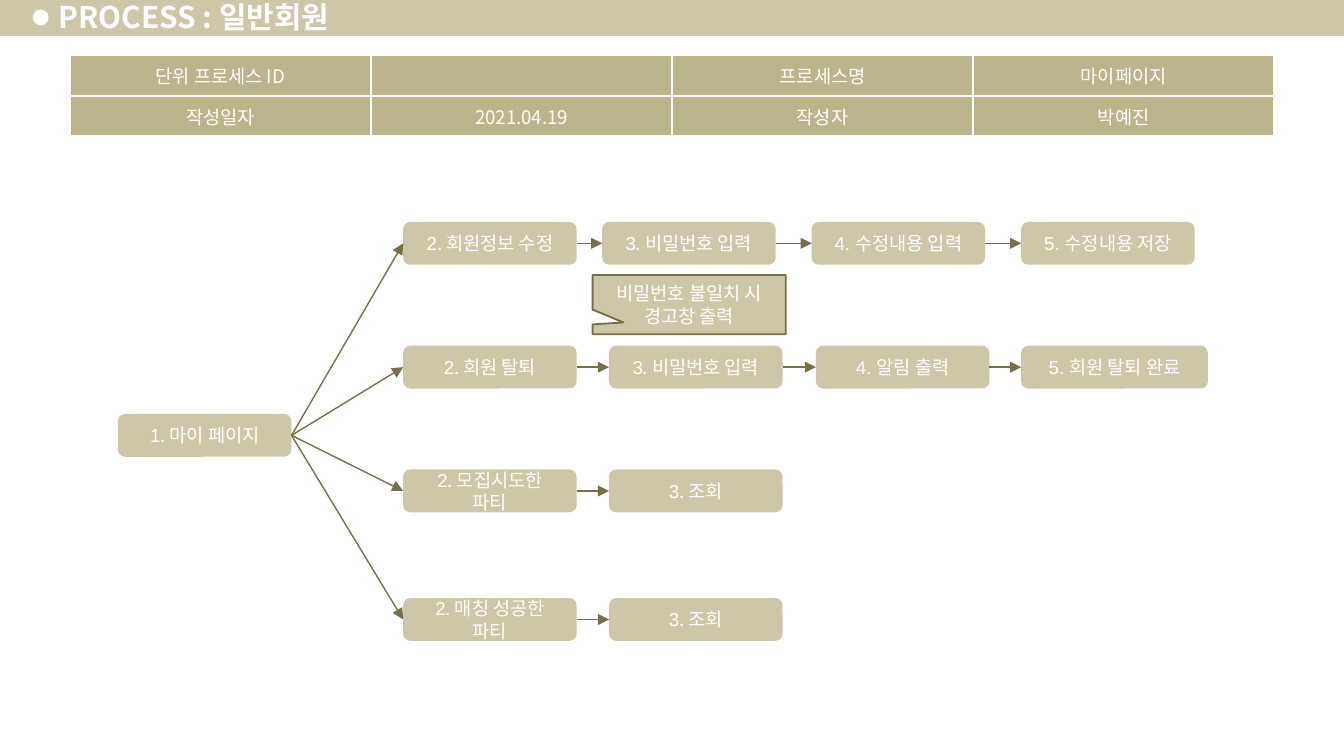
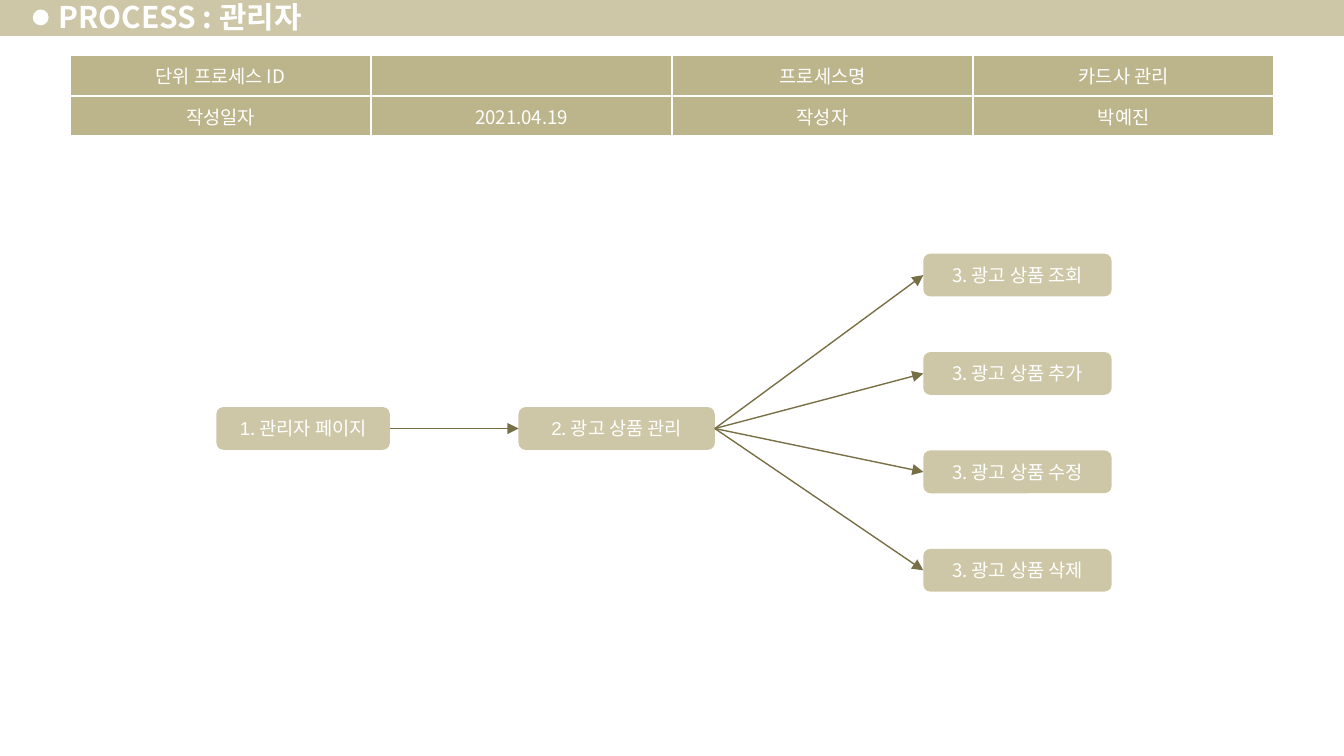
from dataclasses import dataclass

from pptx import Presentation
from pptx.dml.color import RGBColor
from pptx.enum.shapes import MSO_CONNECTOR, MSO_SHAPE
from pptx.enum.text import MSO_ANCHOR, MSO_AUTO_SIZE, PP_ALIGN
from pptx.oxml.xmlchemy import OxmlElement
from pptx.util import Cm, Pt


@dataclass(frozen=True)
class Theme:
    band: RGBColor = RGBColor(0xCD, 0xC7, 0xA7)
    cell: RGBColor = RGBColor(0xBC, 0xB4, 0x8A)
    line: RGBColor = RGBColor(0x77, 0x6F, 0x45)
    white: RGBColor = RGBColor(0xFF, 0xFF, 0xFF)
    font: str = "Noto Sans CJK KR"
    latin: str = "Arial"
    title_size: int = 16
    text_size: int = 10


THEME = Theme()
BOX_W, BOX_H = 3.28, 0.81
LEFT, RIGHT = 1, 3  # connection sites of a box


def add_child(parent, tag, **attrs):
    el = OxmlElement(tag)
    for name, value in attrs.items():
        el.set(name, str(value))
    parent.append(el)
    return el


# Text: a part before "|" is set in the Latin font
def write(tf, text, size=THEME.text_size, bold=False, align=PP_ALIGN.CENTER):
    tf.word_wrap = True
    p = tf.paragraphs[0]
    p.alignment = align
    latin_part, _, main_part = text.rpartition("|")
    for part, font in ((latin_part, THEME.latin), (main_part, THEME.font)):
        if part:
            r = p.add_run()
            r.text = part
            r.font.size = Pt(size)
            r.font.bold = bold
            r.font.color.rgb = THEME.white
            r.font.name = font
            add_child(r.font._element, "a:ea", typeface=THEME.font)
    if not text:
        add_child(p._p, "a:endParaRPr", sz=size * 100)


def add_figure(slide, kind, x, y, w, h, fill=THEME.band, text=None, line=None):
    sp = slide.shapes.add_shape(kind, Cm(x), Cm(y), Cm(w), Cm(h))
    sp.shadow.inherit = False
    sp.fill.solid()
    sp.fill.fore_color.rgb = fill
    if line is None:
        sp.line.fill.background()
    else:
        sp.line.color.rgb = line
        sp.line.width = Pt(1)
    if text:
        sp.text_frame.vertical_anchor = MSO_ANCHOR.MIDDLE
        write(sp.text_frame, text)
    return sp


def add_step(slide, text, x, mid_y, w=BOX_W):
    return add_figure(slide, MSO_SHAPE.ROUNDED_RECTANGLE, x, mid_y - BOX_H / 2, w, BOX_H, text=text)


def add_arrow(slide, start, end):
    cxn = slide.shapes.add_connector(MSO_CONNECTOR.STRAIGHT, 0, 0, 0, 0)
    cxn.begin_connect(start, RIGHT)
    cxn.end_connect(end, LEFT)
    cxn.line.color.rgb = THEME.line
    cxn.line.width = Pt(0.75)
    add_child(cxn.line._get_or_add_ln(), "a:tailEnd", type="triangle")
    add_child(cxn._element.spPr, "a:effectLst")


def add_chain(slide, start, steps, mid_y):
    """Draw a row of (text, x, width) steps, each reached from the one before."""
    for text, x, w in steps:
        step = add_step(slide, text, x, mid_y, w)
        add_arrow(slide, start, step)
        start = step


def add_info_table(slide, rows):
    table = slide.shapes.add_table(len(rows), len(rows[0]), Cm(1.32), Cm(1.05), Cm(22.76), Cm(1.42)).table
    table.first_row = table.horz_banding = False
    for i, row in enumerate(rows):
        for j, text in enumerate(row):
            cell = table.cell(i, j)
            cell.vertical_anchor = MSO_ANCHOR.MIDDLE
            tcPr = cell._tc.get_or_add_tcPr()
            for side in ("L", "R", "T", "B"):
                ln = add_child(tcPr, f"a:ln{side}", w=Pt(1))
                add_child(add_child(ln, "a:solidFill"), "a:srgbClr", val=THEME.white)
            cell.fill.solid()
            cell.fill.fore_color.rgb = THEME.cell
            write(cell.text_frame, text)


# Band, bullet, title and information table shared by the slides
def add_process_slide(prs, role, process_name):
    slide = prs.slides.add_slide(prs.slide_layouts[5])
    add_figure(slide, MSO_SHAPE.RECTANGLE, 0, -0.05, 25.4, 0.73)
    add_figure(slide, MSO_SHAPE.OVAL, 0.62, 0.18, 0.3, 0.3, fill=THEME.white)

    title = slide.shapes.title
    slide.shapes._spTree.append(title._element)  # in front of the band
    title.left, title.top, title.width, title.height = Cm(0.88), Cm(-0.1), Cm(6.12), Cm(0.82)
    tf = title.text_frame
    tf.auto_size = MSO_AUTO_SIZE.NONE
    tf.vertical_anchor = MSO_ANCHOR.MIDDLE
    tf.margin_left = tf.margin_right = Cm(0.23)
    tf.margin_top = tf.margin_bottom = Cm(0.1)
    write(tf, f"PROCESS : {role}", size=THEME.title_size, bold=True, align=PP_ALIGN.LEFT)

    add_info_table(slide, [
        ["단위 프로세스 ID", "", "프로세스명", process_name],
        ["작성일자", "2021.04.19", "작성자", "박예진"],
    ])
    return slide


def build_member_slide(prs):
    slide = add_process_slide(prs, "일반회원", "마이페이지")
    root = add_step(slide, "1|. 마이 페이지", 2.23, 8.23)
    x1, x2, x4 = 7.62, 11.51, 19.3
    chains = [
        (4.6, [("2|. 회원정보 수정", x1, BOX_W), ("3|. 비밀번호 입력", 11.38, BOX_W),
               ("4. 수정내용 입력|", 15.34, BOX_W), ("5. 수정내용 저장|", x4, BOX_W)]),
        (6.94, [("2|. 회원 탈퇴", x1, BOX_W), ("3|. 비밀번호 입력", x2, BOX_W),
                ("4. 알림 출력|", 15.42, BOX_W), ("5. 회원 탈퇴 완료|", x4, 3.53)]),
        (9.28, [("2|. 모집시도한 파티", x1, BOX_W), ("3|. 조회", x2, BOX_W)]),
        (11.71, [("2|. 매칭 성공한 파티", x1, BOX_W), ("3|. 조회", x2, BOX_W)]),
    ]
    for mid_y, steps in chains:
        add_chain(slide, root, steps, mid_y)

    # Password warning
    note = add_figure(slide, MSO_SHAPE.RECTANGULAR_CALLOUT, 11.2, 5.2, 3.65, 1.12,
                      text="비밀번호 불일치 시 경고창 출력", line=THEME.line)
    note.adjustments[0], note.adjustments[1] = -0.34, 0.3


def build_admin_slide(prs):
    slide = add_process_slide(prs, "관리자", "카드사 관리")
    page = add_step(slide, "1|. 관리자 페이지", 4.09, 8.1)
    manage = add_step(slide, "2|. 광고 상품 관리", 9.8, 8.1, 3.71)
    add_arrow(slide, page, manage)
    for i, action in enumerate(("조회", "추가", "수정", "삭제")):
        add_chain(slide, manage, [(f"3. 광고 상품 {action}", 17.45, 3.56)], 5.2 + 1.86 * i)


def main():
    prs = Presentation()
    prs.slide_width, prs.slide_height = Cm(25.4), Cm(14.29)
    build_member_slide(prs)
    build_admin_slide(prs)
    prs.save("out.pptx")


if __name__ == "__main__":
    main()
